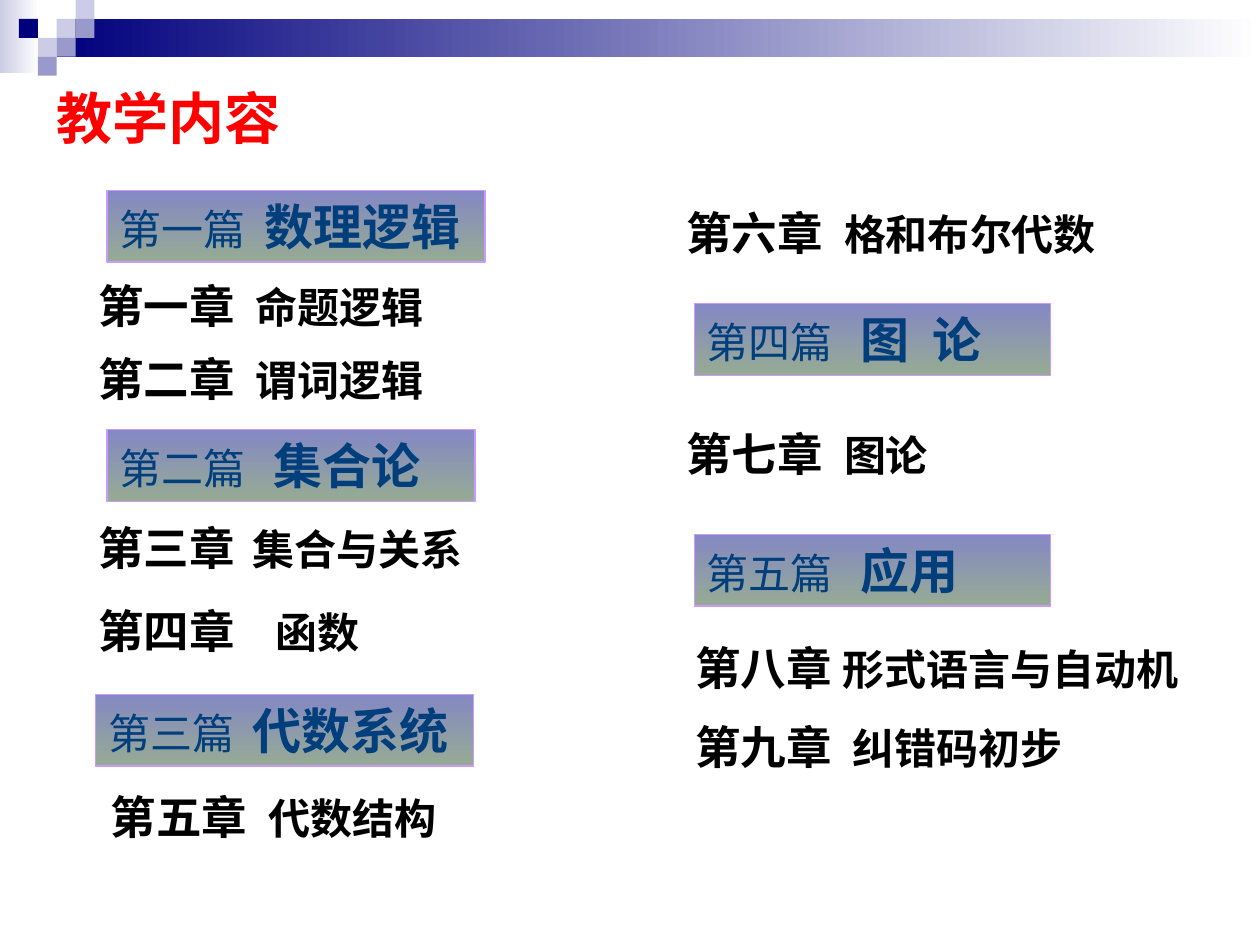
from lxml.etree import SubElement
from pptx import Presentation
from pptx.dml.color import RGBColor
from pptx.enum.shapes import MSO_SHAPE as Shape
from pptx.enum.text import MSO_ANCHOR as Anchor, MSO_AUTO_SIZE as AutoSize, PP_ALIGN as Align
from pptx.oxml.ns import qn
from pptx.util import Inches, Pt

COLORS = {
    "navy": "00007D", "lilac": "9999CC", "pale": "CCCCE6", "white": "FFFFFF",
    "banner_top": "8488C4", "banner_bottom": "96AB94", "banner_edge": "CC99FF",
    "banner_text": "003E7C", "chapter": "000000", "title": "FF0000",
}
CJK = "Noto Sans CJK SC"
COLS, ROWS = 100, 75  # slide grid, one cell is a tenth of an inch
CELL = Inches(10) / COLS

TITLE_FONT = {"size": Pt(32), "bold": True, "name": CJK}
CHAPTER_FONTS = [{"size": Pt(26), "bold": True, "name": CJK},
                 {"size": Pt(24), "bold": True, "name": CJK}]
PART_FONTS = [{"size": Pt(24), "bold": False, "name": "Times New Roman"},
              {"size": Pt(28), "bold": True, "name": "Times New Roman"}]
FRAME = {"word_wrap": True, "vertical_anchor": Anchor.TOP,
         "auto_size": AutoSize.SHAPE_TO_FIT_TEXT}

# Each column: left and top, then
# (row offset, column offset, width, number, name, tabs)
LEFT_COLUMN = ((6.8, 15.1), [
    (0, 1.7, 30, "第一篇", "数理逻辑", [11.5]),
    (6.5, 0, 37.5, "第一章", "命题逻辑", [12.5]),
    (12.3, 0, 38.3, "第二章", "谓词逻辑", [12.5]),
    (19, 1.7, 29.2, "第二篇", "集合论", [12.2]),
    (25.7, 0, 40, "第三章", "集合与关系", [12.3]),
    (32.3, 0, 28.3, "第四章", "函数", [14.1]),
    (40, 0.8, 30, "第三篇", "代数系统", [11.5]),
    (47, 1, 27.8, "第五章", "代数结构", [12.5]),
])
RIGHT_COLUMN = ((53.5, 15.8), [
    (0, 0, 39.1, "第六章", "格和布尔代数", [12.5]),
    (8.3, 1.6, 28.3, "第四篇", "图\t论", [12.2, 17.9]),
    (17.5, 0, 29.2, "第七章", "图论", [12.5]),
    (26.6, 1.6, 28.3, "第五篇", "应用", [12.2]),
    (34.5, 0.7, 45.8, "第八章", "形式语言与自动机", [11.7]),
    (40.8, 0.7, 45.8, "第九章", "纠错码初步", [12.5]),
])


def cells(*counts):
    return [round(count * CELL) for count in counts]


def rgb(name):
    return RGBColor.from_string(COLORS[name])


def apply(target, values):
    for key, value in values.items():
        setattr(target, key, value)


def add_rect(slide, box, *fills, angle=0):
    """Rectangle with one flat colour or a gradient of two."""
    rect = slide.shapes.add_shape(Shape.RECTANGLE, *cells(*box))
    rect.shadow.inherit = False
    rect.line.fill.background()
    if len(fills) == 1:
        rect.fill.solid()
        rect.fill.fore_color.rgb = rgb(fills[0])
    else:
        rect.fill.gradient()
        rect.fill.gradient_angle = angle
        for stop, fill, position in zip(rect.fill.gradient_stops, fills, (0, 1)):
            stop.color.rgb = rgb(fill)
            stop.position = position
    return rect


def add_run(paragraph, text, font, color):
    run = paragraph.add_run()
    run.text = text
    apply(run.font, font)
    run.font.color.rgb = rgb(color)
    SubElement(run.font._element, qn("a:ea"), typeface=CJK)


def write_entry(frame, number, name, tabs, fonts, color):
    """Number and name on one line, aligned by tab stops."""
    apply(frame, FRAME)
    line = frame.paragraphs[0]
    line.alignment = Align.LEFT
    tab_list = SubElement(line._p.get_or_add_pPr(), qn("a:tabLst"))
    for position in cells(*tabs):
        SubElement(tab_list, qn("a:tab"), pos=str(position), algn="l")
    for text, font in zip((number + "\t", name), fonts):
        add_run(line, text, font, color)


def draw_header(slide):
    """Gradient bar and checker squares along the top edge."""
    side = 1.5
    add_rect(slide, (0, 0, 3.1, 5.8), "pale", "white")
    add_rect(slide, (3 * side, side, COLS - 3 * side, 2 * side), "navy", "white")
    squares = {"pale": [(3, 1), (4, 0), (2, 2)],
               "lilac": [(4, 1), (3, 2), (2, 3)],
               "navy": [(1, 1)]}
    for fill, places in squares.items():
        for col, row in places:
            add_rect(slide, (col * side, row * side, side, side), fill)


def write_title(slide, box, text):
    title = slide.shapes.title
    apply(title, dict(zip(("left", "top", "width", "height"), cells(*box))))
    apply(title.text_frame, {**FRAME, "auto_size": AutoSize.NONE})
    line = title.text_frame.paragraphs[0]
    line.alignment = Align.JUSTIFY
    add_run(line, text, TITLE_FONT, "title")


def draw_column(slide, origin, entries):
    """Part banners (篇) with their chapters, offset from the column's corner."""
    left, top = origin
    for row, col, width, number, name, tabs in entries:
        x, y = left + col, top + row
        if number.endswith("篇"):
            entry = add_rect(slide, (x, y, width, 5.7),
                             "banner_top", "banner_bottom", angle=270)
            entry.line.color.rgb = rgb("banner_edge")
            entry.line.width = Pt(0)
            fonts, color = PART_FONTS, "banner_text"
        else:
            entry = slide.shapes.add_textbox(*cells(x, y, width, 5.4))
            fonts, color = CHAPTER_FONTS, "chapter"
        write_entry(entry.text_frame, number, name, tabs, fonts, color)


def main():
    deck = Presentation()
    deck.slide_width, deck.slide_height = cells(COLS, ROWS)
    slide = deck.slides.add_slide(deck.slide_layouts[5])
    draw_header(slide)
    write_title(slide, (3.5, 6.1, 88.3, 9), "教学内容")
    for origin, entries in (LEFT_COLUMN, RIGHT_COLUMN):
        draw_column(slide, origin, entries)
    deck.save("out.pptx")


if __name__ == "__main__":
    main()
